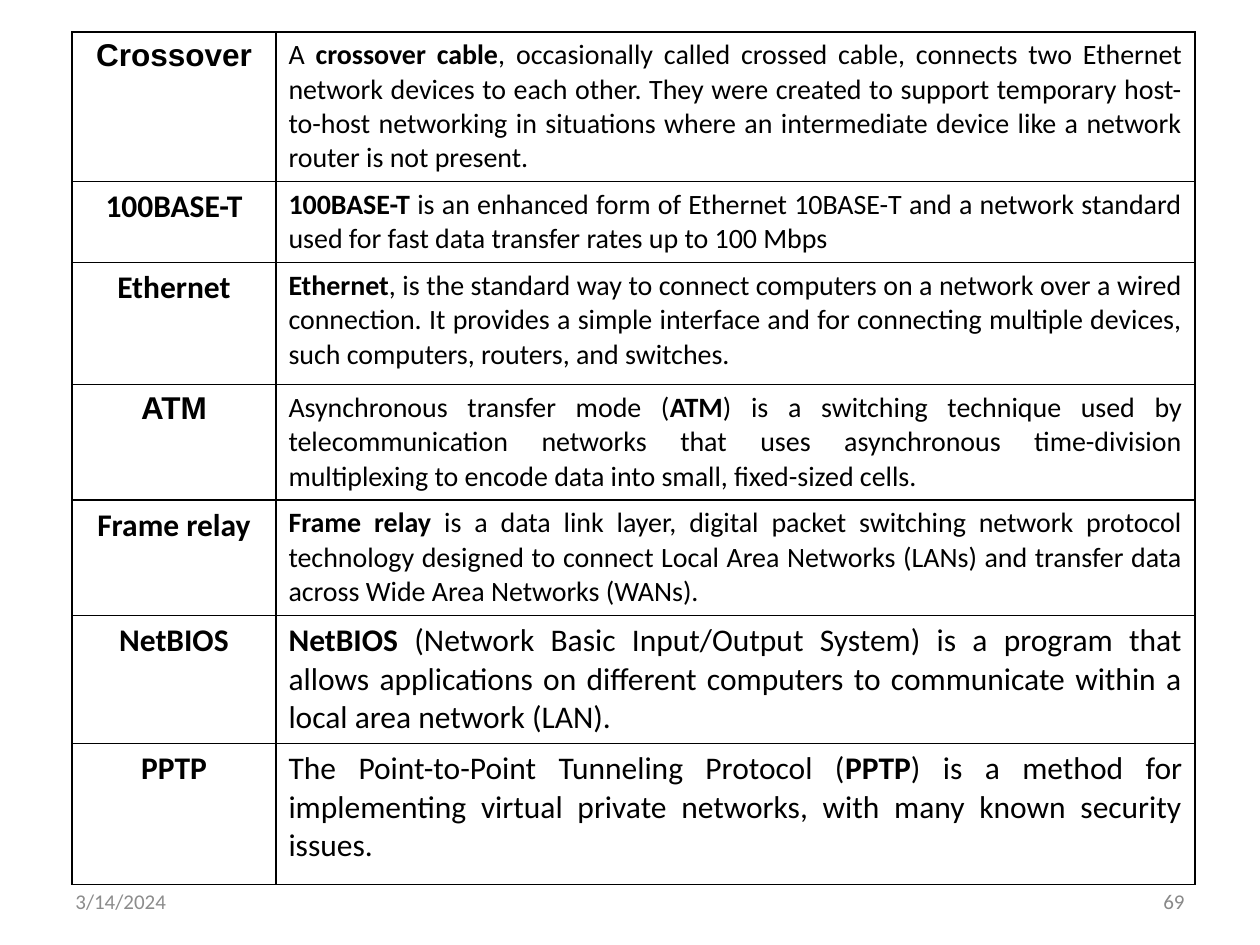
from lxml import etree
from pptx import Presentation
from pptx.dml.color import RGBColor
from pptx.enum import text
from pptx.oxml import ns
from pptx.util import Pt

PX = 914400 // 126  # EMU in one px


class Theme:
    ink = RGBColor(0, 0, 0)
    date_grey = RGBColor(0x8C, 0x8C, 0x8C)
    number_grey = RGBColor(0x89, 0x89, 0x89)
    body, heading = "Calibri", "Arial"
    large, medium, small = Pt(18), Pt(16), Pt(12)
    border = Pt(1)


def add_span(para, words, size, color=Theme.ink, face=Theme.body, bold=False):
    span = para.add_run()
    span.text = words
    span.font.size, span.font.name, span.font.bold = size, face, bold
    span.font.color.rgb = color


def add_borders(cell):
    properties = cell._tc.get_or_add_tcPr()
    for place, side in enumerate(("lnL", "lnR", "lnT", "lnB")):
        line = etree.Element(ns.qn("a:" + side), w=str(Theme.border))
        fill = etree.SubElement(line, ns.qn("a:solidFill"))
        etree.SubElement(fill, ns.qn("a:srgbClr"), val=str(Theme.ink))
        properties.insert(place, line)


# Row height, term, term font, bold words, definition, definition size
ROWS = [
    (148, "Crossover", Theme.heading, "crossover cable",
     "A crossover cable, occasionally called crossed cable, connects two Ethernet "
     "network devices to each other. They were created to support temporary "
     "host-to-host networking in situations where an intermediate device like a "
     "network router is not present. ", Theme.medium),
    (81, "100BASE-T", Theme.body, "100BASE-T",
     "100BASE-T is an enhanced form of Ethernet 10BASE-T and a network standard "
     "used for fast data transfer rates up to 100 Mbps", Theme.medium),
    (122, "Ethernet", Theme.body, "Ethernet",
     "Ethernet, is the standard way to connect computers on a network over a wired "
     "connection. It provides a simple interface and for connecting multiple "
     "devices, such computers, routers, and switches.", Theme.medium),
    (113, "ATM", Theme.heading, "ATM",
     "Asynchronous transfer mode (ATM) is a switching technique used by "
     "telecommunication networks that uses asynchronous time-division "
     "multiplexing to encode data into small, fixed-sized cells. ", Theme.medium),
    (113, "Frame relay", Theme.body, "Frame relay",
     "Frame relay is a data link layer, digital packet switching network protocol "
     "technology designed to connect Local Area Networks (LANs) and transfer data "
     "across Wide Area Networks (WANs).", Theme.medium),
    (126, "NetBIOS", Theme.body, "NetBIOS",
     "NetBIOS (Network Basic Input/Output System) is a program that allows "
     "applications on different computers to communicate within a local area "
     "network (LAN).", Theme.large),
    (141, "PPTP", Theme.body, "PPTP",
     "The Point-to-Point Tunneling Protocol (PPTP) is a method for implementing "
     "virtual private networks, with many known security issues.", Theme.large),
]
COLUMNS = (204, 919)

deck = Presentation()
deck.slide_width, deck.slide_height = 1260 * PX, 945 * PX
page = deck.slides.add_slide(deck.slide_layouts[6])

# Glossary table
height = sum(row[0] for row in ROWS)
table = page.shapes.add_table(len(ROWS), len(COLUMNS), 72 * PX, 32 * PX,
                              sum(COLUMNS) * PX, height * PX).table
table.first_row = table.horz_banding = False
for column, width in zip(table.columns, COLUMNS):
    column.width = width * PX

for row, (height, term, face, strong, definition, size) in zip(table.rows, ROWS):
    row.height = height * PX
    for cell in row.cells:
        cell.fill.background()
        add_borders(cell)
    term_para, definition_para = (cell.text_frame.paragraphs[0] for cell in row.cells)
    term_para.alignment = text.PP_ALIGN.CENTER
    add_span(term_para, term, Theme.large, face=face, bold=True)
    definition_para.alignment = text.PP_ALIGN.JUSTIFY
    for words in definition.partition(strong):
        if words:
            add_span(definition_para, words, size, bold=words == strong)

# Footer: date and page number
for left, words, color, alignment in (
    (63, "3/14/2024", Theme.date_grey, text.PP_ALIGN.LEFT),
    (903, "69", Theme.number_grey, text.PP_ALIGN.RIGHT),
):
    box = page.shapes.add_textbox(left * PX, 876 * PX, 294 * PX, 50 * PX)
    box.text_frame.word_wrap = True
    box.text_frame.vertical_anchor = text.MSO_ANCHOR.MIDDLE
    para = box.text_frame.paragraphs[0]
    para.alignment = alignment
    add_span(para, words, Theme.small, color)

deck.save("out.pptx")
